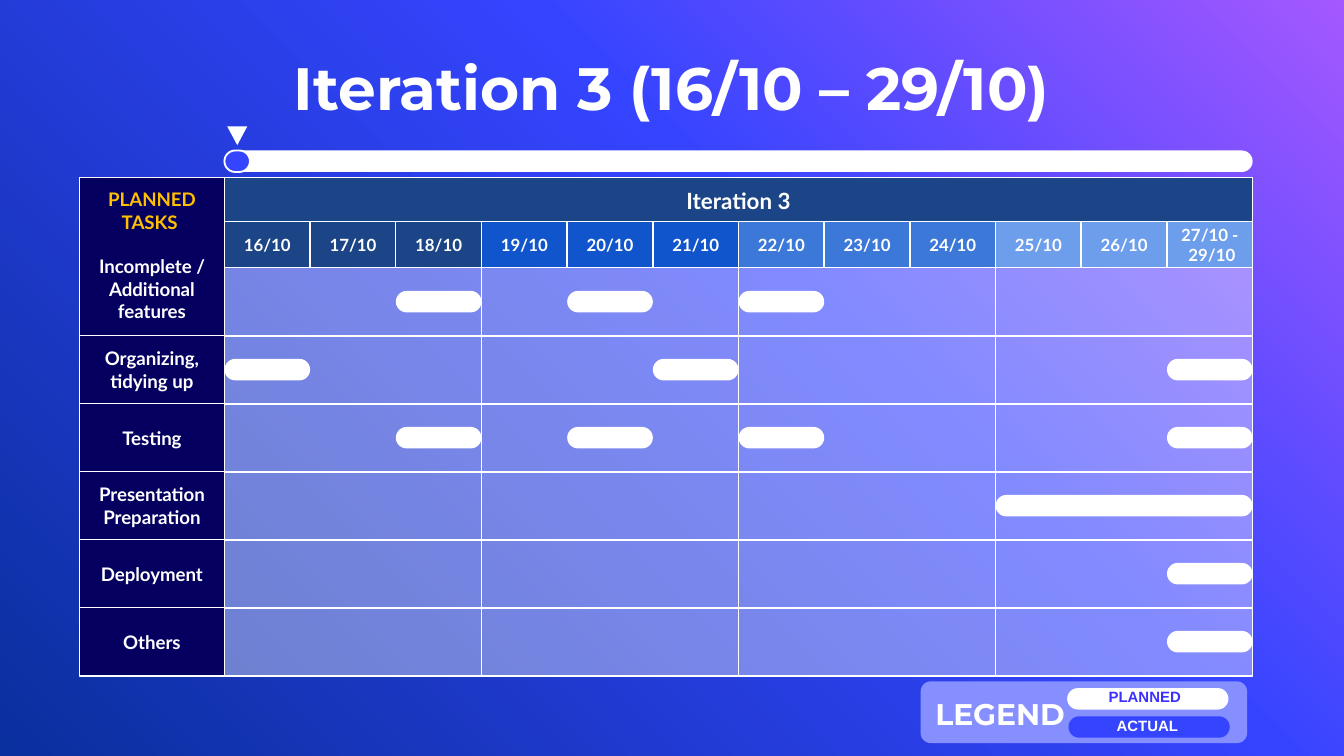
from copy import deepcopy

from lxml.etree import SubElement
from pptx import Presentation
from pptx.dml.color import RGBColor
from pptx.enum.shapes import MSO_SHAPE as Shape
from pptx.enum.text import MSO_ANCHOR as Anchor, MSO_AUTO_SIZE as AutoSize, PP_ALIGN as Align
from pptx.oxml.ns import qn
from pptx.util import Inches, Pt

WHITE, NAVY, BLUE, GOLD = "FFFFFF", "050060", "3544FF", "FFC000"
TASK_LEFT, GRID_LEFT, GRID_WIDTH = 0.59, 1.67, 7.65
HEADER_TOP, DATES_TOP, GRID_TOP, LAST_ROW_TOP = 1.32, 1.65, 1.99, 4.52
TASK_WIDTH = GRID_LEFT - TASK_LEFT
DAY_WIDTH = GRID_WIDTH / 12
PHASE_WIDTH = GRID_WIDTH / 4
ROW_HEIGHT, HEADER_HEIGHT = 0.51, 0.34
BAR_THICKNESS = 0.16

DATES = [f"{day}/10" for day in range(16, 27)] + ["27/10 -  29/10"]
PHASE_COLORS = ["1C4587", "1155CC", "3C78D8", "6D9EEB"]
# Task name and its planned bars as (first day column, number of columns)
TASKS = [
    ("Incomplete / Additional features", [(2, 1), (4, 1), (6, 1)]),
    ("Organizing, tidying up", [(0, 1), (5, 1), (11, 1)]),
    ("Testing", [(2, 1), (4, 1), (6, 1), (11, 1)]),
    ("Presentation Preparation", [(9, 3)]),
    ("Deployment", [(11, 1)]),
    ("Others", [(11, 1)]),
]
ROW_PITCH = (LAST_ROW_TOP - GRID_TOP) / (len(TASKS) - 1)


def rgb(color):
    return RGBColor.from_string(color)


def write(frame, text, size=10, font="Lato", color=WHITE, align=Align.CENTER, before=0):
    """Fill the first paragraph, or add one if the frame already has text."""
    paragraph = frame.add_paragraph() if frame.text else frame.paragraphs[0]
    paragraph.alignment = align
    paragraph.space_before = Pt(before)
    run = paragraph.add_run()
    run.text = text
    run.font.size, run.font.name, run.font.bold = Pt(size), font, True
    run.font.color.rgb = rgb(color)


class GanttSlide:
    def __init__(self, slide):
        self.slide = slide

    def background(self, stops, angle):
        """Set gradient stops as (position, color), with a counter-clockwise angle."""
        fill = self.slide.background.fill
        fill.gradient()
        fill.gradient_angle = angle
        stop_list = next(self.slide.element.iter(qn("a:gsLst")))
        for _ in stops[2:]:
            stop_list.append(deepcopy(stop_list[0]))
        for stop, (position, color) in zip(fill.gradient_stops, stops):
            stop.position = position
            stop.color.rgb = rgb(color)

    def shape(self, kind, left, top, width, height, fill, line=None, line_width=0.75, alpha=None):
        shape = self.slide.shapes.add_shape(
            kind, Inches(left), Inches(top), Inches(width), Inches(height))
        shape.shadow.inherit = False
        shape.fill.solid()
        shape.fill.fore_color.rgb = rgb(fill)
        if alpha is not None:
            color = next(shape.element.iter(qn("a:srgbClr")))
            SubElement(color, qn("a:alpha")).set("val", str(alpha * 1000))
        if line:
            shape.line.color.rgb = rgb(line)
            shape.line.width = Pt(line_width)
        else:
            shape.line.fill.background()
        return shape

    def cell(self, left, top, width, height, fill, text="", anchor=Anchor.MIDDLE, alpha=None, **style):
        cell = self.shape(Shape.RECTANGLE, left, top, width, height, fill, WHITE, alpha=alpha)
        frame = self.inset(cell.text_frame, 0.1, 0.1)
        frame.vertical_anchor = anchor
        if text:
            write(frame, text, **style)
        return frame

    def pill(self, left, middle, length, fill=WHITE, **outline):
        """A horizontal bar with round ends, centred on the height given by middle."""
        bar = self.shape(Shape.ROUND_2_SAME_RECTANGLE, left + (length - BAR_THICKNESS) / 2,
                         middle - length / 2, BAR_THICKNESS, length, fill, **outline)
        bar.rotation = 90
        bar.adjustments[0] = bar.adjustments[1] = 0.5

    def text(self, left, top, width, height, text, anchor=Anchor.BOTTOM, inset=(0, 0), grow=False, **style):
        box = self.slide.shapes.add_textbox(
            Inches(left), Inches(top), Inches(width), Inches(height))
        frame = self.inset(box.text_frame, *inset)
        frame.vertical_anchor = anchor
        if grow:
            frame.auto_size = AutoSize.SHAPE_TO_FIT_TEXT
        write(frame, text, **style)

    @staticmethod
    def inset(frame, side, end):
        frame.word_wrap = True
        frame.margin_left = frame.margin_right = Inches(side)
        frame.margin_top = frame.margin_bottom = Inches(end)
        return frame


def add_timeline(gantt):
    gantt.pill(GRID_LEFT, 1.2, GRID_WIDTH)
    gantt.pill(1.67, 1.2, 0.19, BLUE, line=WHITE, line_width=1)
    pointer = gantt.shape(Shape.ISOSCELES_TRIANGLE, 1.69, 0.94, 0.15, 0.14, WHITE)
    pointer.rotation = 180


def add_schedule(gantt):
    gantt.cell(GRID_LEFT, HEADER_TOP, GRID_WIDTH, HEADER_HEIGHT, PHASE_COLORS[0], "Iteration 3", size=12)
    for row, (task, _) in enumerate(TASKS):
        top = GRID_TOP + row * ROW_PITCH
        for phase in range(4):
            gantt.cell(GRID_LEFT + phase * PHASE_WIDTH, top, PHASE_WIDTH, ROW_HEIGHT, WHITE, alpha=38)
        if row:
            gantt.cell(TASK_LEFT, top, TASK_WIDTH, ROW_HEIGHT, NAVY, task)
        else:
            heading = gantt.cell(TASK_LEFT, HEADER_TOP, TASK_WIDTH, 1.18, NAVY, "PLANNED TASKS ",
                                 Anchor.BOTTOM, color=GOLD)
            write(heading, task, before=12)
    for day, date in enumerate(DATES):
        gantt.cell(GRID_LEFT + day * DAY_WIDTH, DATES_TOP, DAY_WIDTH, HEADER_HEIGHT,
                   PHASE_COLORS[day // 3], date, size=9)
    for row, (_, bars) in enumerate(TASKS):
        middle = GRID_TOP + row * ROW_PITCH + ROW_HEIGHT / 2
        for day, days in bars:
            gantt.pill(GRID_LEFT + day * DAY_WIDTH, middle, days * DAY_WIDTH)


def add_legend(gantt):
    gantt.shape(Shape.ROUNDED_RECTANGLE, 6.85, 5.07, 2.43, 0.46, "868FFF")
    gantt.text(6.96, 5.01, 1.34, 0.43, "LEGEND", size=16, font="Montserrat", align=Align.LEFT)
    for label, left, top, width, pill_left, fill, color in [
        ("PLANNED", 8.15, 5.07, 0.84, 7.94, WHITE, "3B30FF"),
        ("ACTUAL", 8.21, 5.28, 0.69, 7.95, BLUE, WHITE),
    ]:
        gantt.pill(pill_left, top + 0.13, 1.2, fill)
        gantt.text(left, top, width, 0.24, label, Anchor.TOP, (0.1, 0.05), grow=True,
                   size=8, font="Arial", color=color, align=Align.LEFT)


def main():
    deck = Presentation()
    deck.slide_width = Inches(10)
    deck.slide_height = deck.slide_width * 9 // 16
    gantt = GanttSlide(deck.slides.add_slide(deck.slide_layouts[6]))
    gantt.background([(0, "A458FF"), (0.39, BLUE), (1, "0A2F9E")], angle=225)
    gantt.text(0, 0.21, 10, 0.7, "Iteration 3 (16/10 – 29/10)", size=32, font="Montserrat")
    add_timeline(gantt)
    add_schedule(gantt)
    add_legend(gantt)
    deck.save("out.pptx")


if __name__ == "__main__":
    main()
